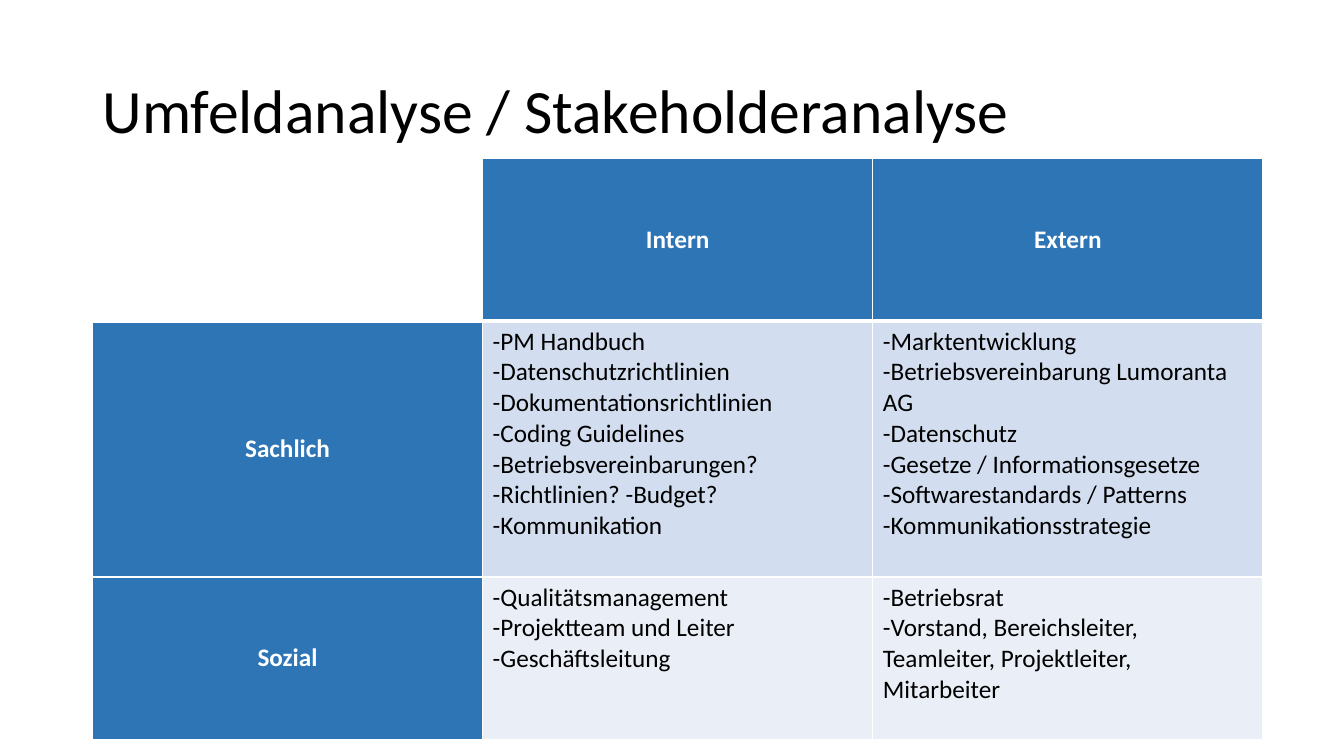
from lxml.etree import SubElement
from pptx import Presentation
from pptx.dml.color import RGBColor
from pptx.enum.text import MSO_ANCHOR as Anchor, PP_ALIGN as Align
from pptx.oxml.ns import qn
from pptx.util import Cm, Pt

FONT = "Calibri"
BLACK = RGBColor(0x00, 0x00, 0x00)
WHITE = RGBColor(0xFF, 0xFF, 0xFF)
HEADER_BLUE = RGBColor(0x2E, 0x75, 0xB6)
BAND_COLORS = [RGBColor(0xD2, 0xDE, 0xEF), RGBColor(0xEA, 0xEF, 0xF7)]

TITLE_BOX = Cm(2.33), Cm(1.01), Cm(29.21), Cm(3.68)
TABLE_BOX = Cm(2.33), Cm(4), Cm(29.5), Cm(14.63)
ROW_HEIGHTS = [Cm(4.09), Cm(6.45), Cm(4.09)]

COLUMN_HEADS = ["", "Intern", "Extern"]
STAKEHOLDERS = [
    ("Sachlich",
     ["-PM Handbuch", "-Datenschutzrichtlinien", "-Dokumentationsrichtlinien",
      "-Coding Guidelines", "-Betriebsvereinbarungen?",
      "-Richtlinien? -Budget?", "-Kommunikation"],
     ["-Marktentwicklung", "-Betriebsvereinbarung Lumoranta AG",
      "-Datenschutz", "-Gesetze / Informationsgesetze",
      "-Softwarestandards / Patterns", "-Kommunikationsstrategie"]),
    ("Sozial",
     ["-Qualitätsmanagement", "-Projektteam und Leiter", "-Geschäftsleitung"],
     ["-Betriebsrat",
      "-Vorstand, Bereichsleiter, Teamleiter, Projektleiter, Mitarbeiter"]),
]


def style_para(para, size, color, bold=False, align=Align.LEFT):
    para.alignment = align
    font = para.font
    font.name, font.size, font.bold = FONT, Pt(size), bold
    font.color.rgb = color


def set_borders(cell, top=1, bottom=1):
    """Draw white cell edges; call before the fill, which must follow them."""
    properties = cell._tc.get_or_add_tcPr()
    for side, width in zip("LRTB", (1, 1, top, bottom)):
        line = SubElement(properties, qn(f"a:ln{side}"), w=str(Pt(width)))
        fill = SubElement(line, qn("a:solidFill"))
        SubElement(fill, qn("a:srgbClr"), val=str(WHITE))


def fill_cell(cell, color):
    cell.fill.solid()
    cell.fill.fore_color.rgb = color


def write_heading(cell, text):
    fill_cell(cell, HEADER_BLUE if text else WHITE)
    cell.vertical_anchor = Anchor.MIDDLE
    cell.text = text
    style_para(cell.text_frame.paragraphs[0], 18, WHITE, True, Align.CENTER)


def write_items(cell, items, color):
    fill_cell(cell, color)
    cell.text = "\n".join(items)
    for para in cell.text_frame.paragraphs:
        style_para(para, 18, BLACK)


def place_title(slide, box, text):
    title = slide.shapes.title
    title.left, title.top, title.width, title.height = box
    frame = title.text_frame
    frame.text = text
    frame.vertical_anchor = Anchor.MIDDLE
    para = frame.paragraphs[0]
    para.line_spacing = 0.9
    style_para(para, 44, BLACK)


def place_matrix(slide, box):
    table = slide.shapes.add_table(
        len(ROW_HEIGHTS), len(COLUMN_HEADS), *box).table
    for row, height in zip(table.rows, ROW_HEIGHTS):
        row.height = height
    for row_index, row in enumerate(table.rows):
        for cell in row.cells:
            set_borders(cell, top=3 if row_index == 1 else 1,
                        bottom=3 if row_index == 0 else 1)
    for column, head in enumerate(COLUMN_HEADS):
        write_heading(table.cell(0, column), head)
    for row, (head, *groups) in enumerate(STAKEHOLDERS, start=1):
        write_heading(table.cell(row, 0), head)
        for column, items in enumerate(groups, start=1):
            write_items(table.cell(row, column), items, BAND_COLORS[row - 1])


def main():
    deck = Presentation()
    deck.slide_width, deck.slide_height = Cm(33.87), Cm(19.05)
    slide = deck.slides.add_slide(deck.slide_layouts.get_by_name("Title Only"))
    place_title(slide, TITLE_BOX, "Umfeldanalyse / Stakeholderanalyse")
    place_matrix(slide, TABLE_BOX)
    deck.save("out.pptx")


if __name__ == "__main__":
    main()
